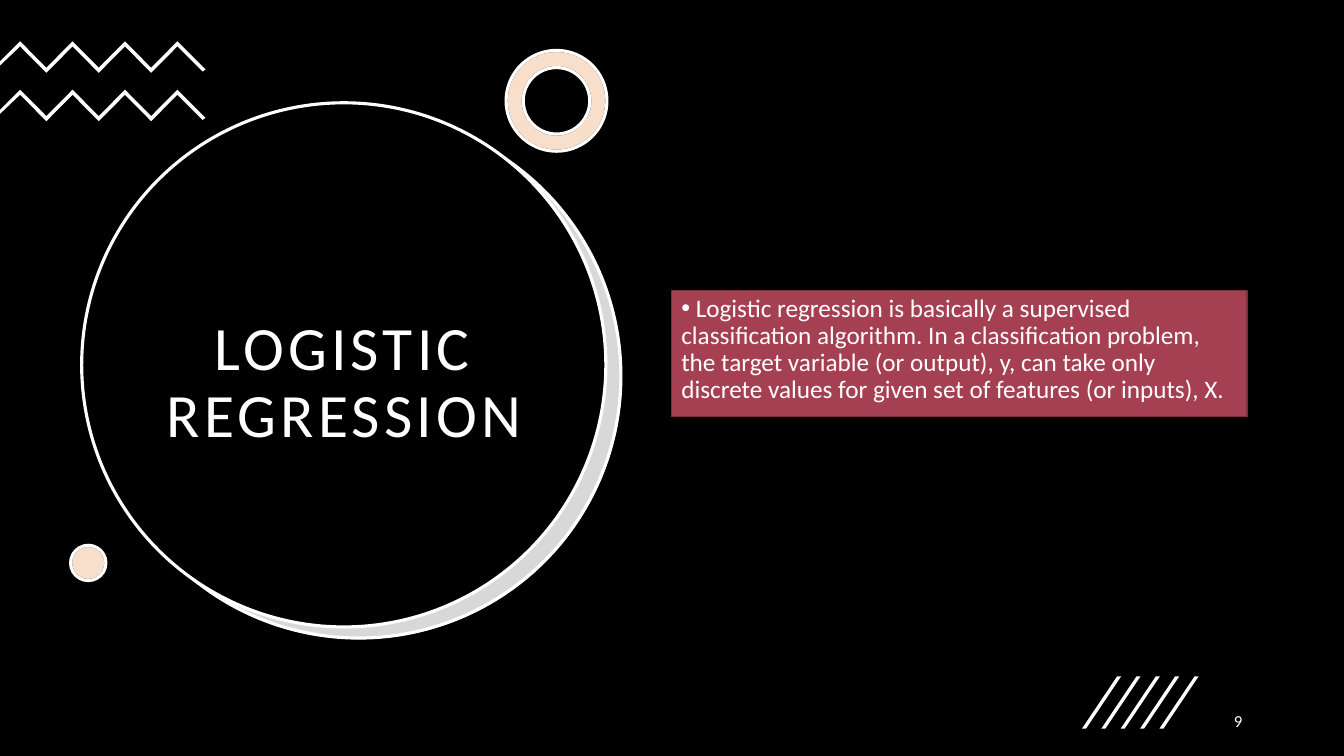
from lxml import etree
from pptx import Presentation
from pptx import util as u
from pptx.dml.color import RGBColor
from pptx.enum import shapes as kinds, text as t
from pptx.oxml.ns import qn

WIDTH, HEIGHT = u.Inches(13.333), u.Inches(7.5)
WHITE, BLACK, GREY, PEACH, ROSE, WINE = (
    "FFFFFF", "000000", "7F7F7F", "E99757", "A53F52", "7A2F3D")
OVAL, RING, PANEL = (kinds.MSO_SHAPE.OVAL, kinds.MSO_SHAPE.DONUT,
                     kinds.MSO_SHAPE.RECTANGLE)
DEFINITION = (" Logistic regression is basically a supervised classification "
              "algorithm. In a classification problem, the target variable "
              "(or output), y, can take only discrete values for given set of "
              "features (or inputs), X.")


def across(percent):
    return u.Emu(round(WIDTH * percent / 100))


def down(percent):
    return u.Emu(round(HEIGHT * percent / 100))


def frame(left, top, width, height):
    return across(left), down(top), across(width), down(height)


def assign(target, values):
    for name, value in values.items():
        setattr(target, name, value)


def colour(fill, hex_value):
    fill.solid()
    fill.fore_color.rgb = RGBColor.from_string(hex_value)


def decorate(shape, fill, line=None, weight=2.25, opacity=None):
    shape.shadow.inherit = False
    colour(shape.fill, fill)
    if opacity:
        tint = shape.element.spPr.find(qn("a:solidFill")).find(qn("a:srgbClr"))
        etree.SubElement(tint, qn("a:alpha"), val=str(opacity * 1000))
    if line:
        colour(shape.line.fill, line)
        shape.line.width = u.Pt(weight)
    else:
        shape.line.fill.background()
    return shape


def add_preset(slide, preset, area, fill, **style):
    return decorate(slide.shapes.add_shape(preset, *frame(*area)), fill, **style)


def add_outline(slide, points):
    corners = [(across(x), down(y)) for x, y in points]
    builder = slide.shapes.build_freeform(*corners[0])
    builder.add_line_segments(corners[1:], close=True)
    decorate(builder.convert_to_shape(), WHITE)


def write(shape, wording, size, paragraph_format, anchor):
    assign(shape.text_frame, {"word_wrap": True, "vertical_anchor": anchor,
                              "auto_size": t.MSO_AUTO_SIZE.NONE})
    paragraph = shape.text_frame.paragraphs[0]
    assign(paragraph, paragraph_format)
    run = paragraph.add_run()
    run.text = wording
    assign(run.font, {"name": "Calibri", "size": u.Pt(size)})
    colour(run.font.fill, WHITE)
    return paragraph, run


def add_heading(slide):
    heading = slide.shapes.title
    slide.shapes.element.append(heading.element)
    area = frame(9.08, 27.33, 33.08, 46.93)
    assign(heading, dict(zip(("left", "top", "width", "height"), area)))
    _, run = write(heading, "LOGISTIC REGRESSION", 44,
                   {"alignment": t.PP_ALIGN.CENTER, "line_spacing": 0.9},
                   t.MSO_ANCHOR.MIDDLE)
    run.font.element.set("spc", "300") if hasattr(run.font, "element") else \
        run._r.get_or_add_rPr().set("spc", "300")


def add_zigzag(slide, top):
    ridge = [(1.5 + 1.95 * bend, top + 3.5 * (bend % 2)) for bend in range(7)]
    underside = [(x, y + 0.67) for x, y in reversed(ridge)]
    tip = [(15.3, top + 3.73), (15.08, top + 4)]
    slide_edge = [(0, top + 3.2), (0, top + 2.67)]
    add_outline(slide, ridge + tip + underside + slide_edge)


def add_slash(slide, left):
    add_outline(slide, [(left + 0.3, 96.4), (left, 96.4),
                        (left + 2.62, 89.47), (left + 2.92, 89.47)])


def add_definition(slide):
    panel = add_preset(slide, PANEL, (49.96, 38.4, 42.84, 16.67), ROSE,
                       line=WINE, weight=1)
    paragraph, _ = write(panel, DEFINITION, 18,
                         {"alignment": t.PP_ALIGN.LEFT, "line_spacing": 0.9,
                          "space_after": u.Pt(6)}, t.MSO_ANCHOR.TOP)
    properties = paragraph._p.get_or_add_pPr()
    properties.set("marL", "0")
    properties.set("indent", str(-u.Inches(0.25)))
    etree.SubElement(properties, qn("a:buFont"), typeface="Arial")
    etree.SubElement(properties, qn("a:buChar"), char="•")


def add_page_number(slide):
    number = slide.shapes.add_textbox(*frame(70.67, 92.67, 22.51, 5.33))
    write(number, "9", 12, {"alignment": t.PP_ALIGN.RIGHT,
                            "space_after": u.Pt(6)}, t.MSO_ANCHOR.MIDDLE)


def main():
    deck = Presentation()
    assign(deck, {"slide_width": WIDTH, "slide_height": HEIGHT})
    slide = deck.slides.add_slide(deck.slide_layouts[5])

    add_preset(slide, PANEL, (0, 0, 100, 100), BLACK)
    disc = (39, 69.33)
    add_preset(slide, OVAL, (7.28, 15.2, *disc), WHITE)
    add_preset(slide, OVAL, (7.2, 15.07, *disc), GREY, line=WHITE, opacity=30)
    add_preset(slide, OVAL, (6.08, 13.6, *disc), BLACK, line=WHITE)
    add_heading(slide)

    for top in (5.47, 11.87):
        add_zigzag(slide, top)
    layers = ((WHITE, {"line": BLACK}), (PEACH, {"line": WHITE, "opacity": 30}))
    for fill, style in layers:
        ring = add_preset(slide, RING, (37.66, 6.67, 7.5, 13.33), fill, **style)
        ring.adjustments[0] = 0.17
    for fill, style in layers:
        add_preset(slide, OVAL, (5.25, 72.13, 2.63, 4.67), fill, **style)

    add_definition(slide)
    add_page_number(slide)
    for position in range(5):
        add_slash(slide, 80.5 + 1.44 * position)
    deck.save("out.pptx")


if __name__ == "__main__":
    main()
